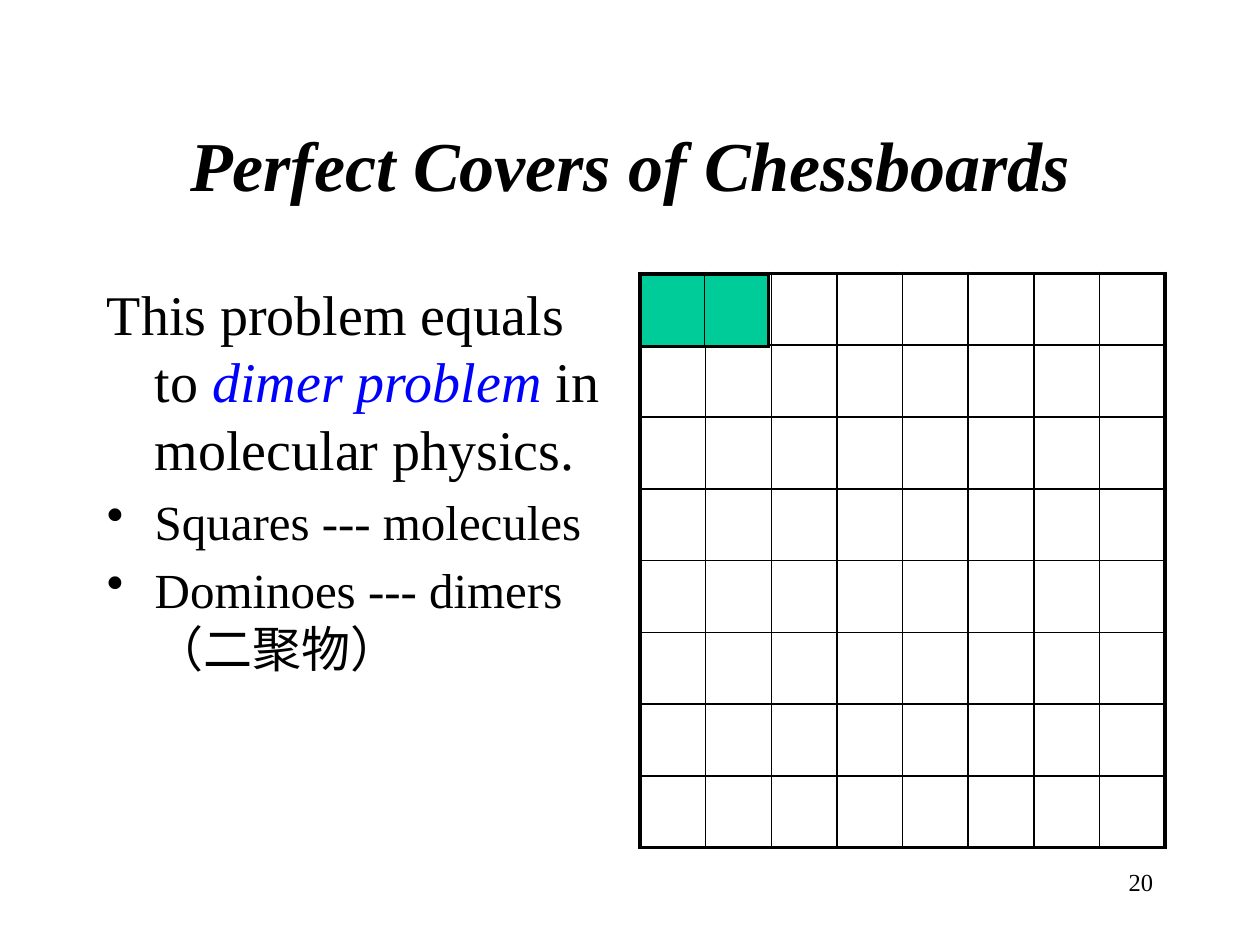
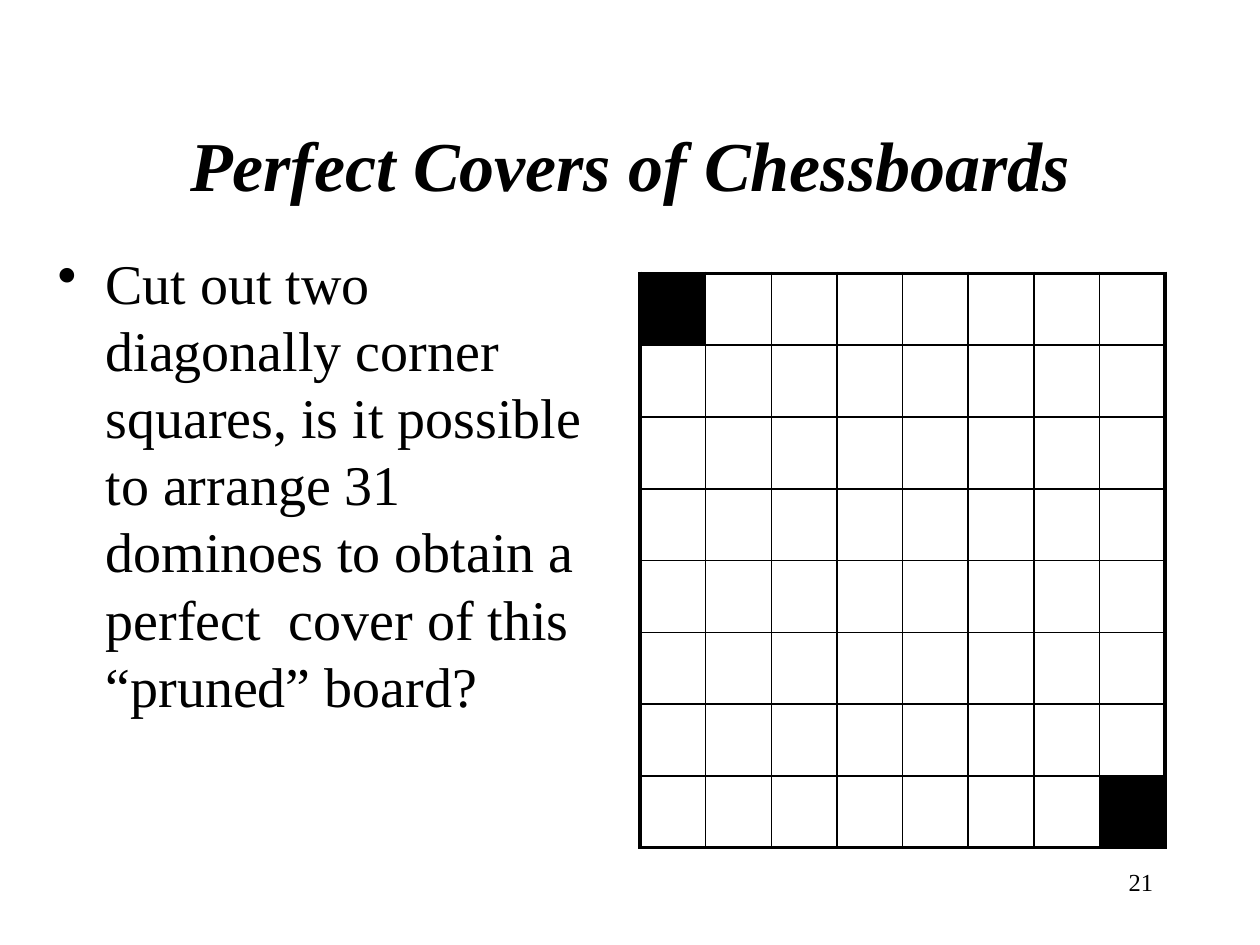
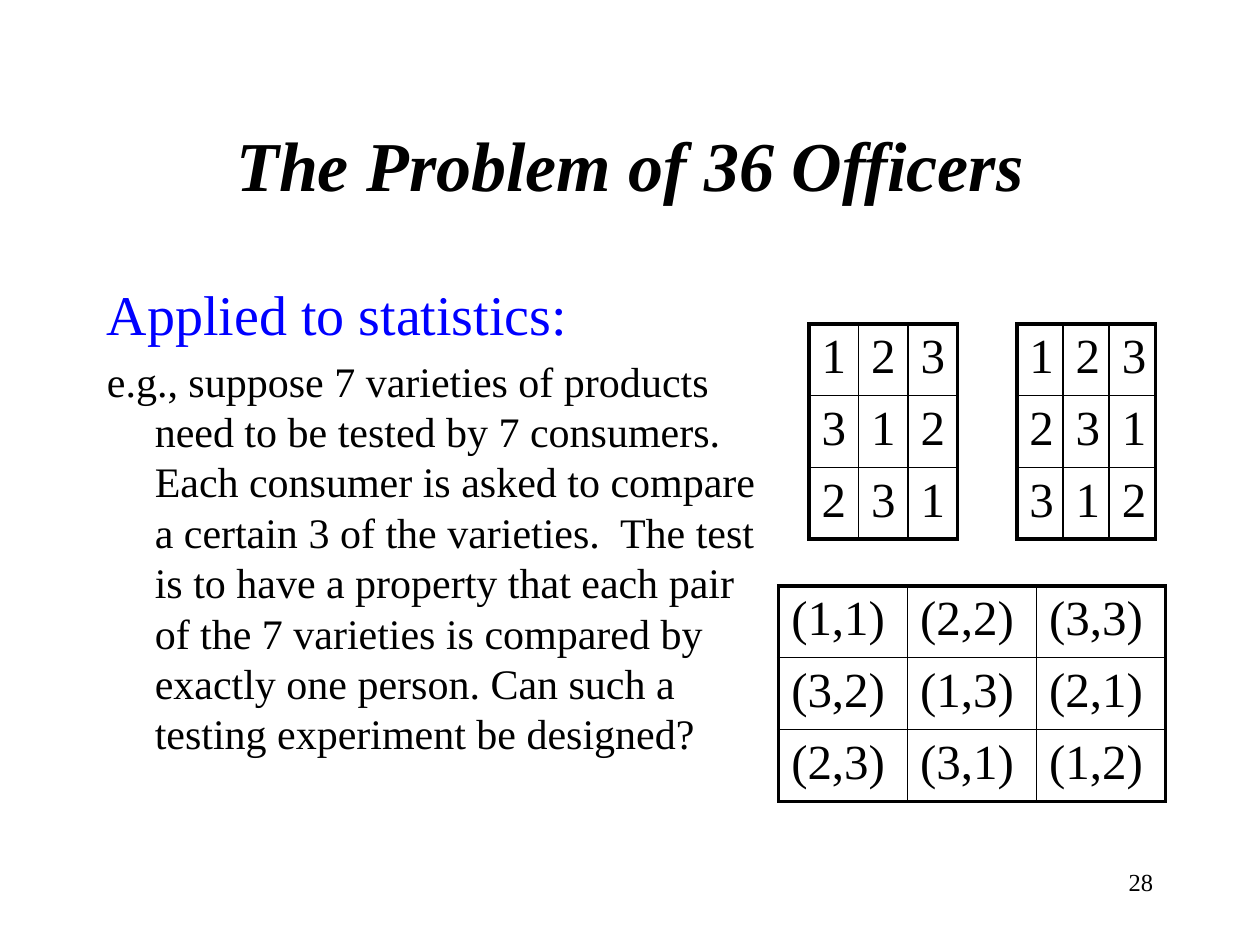
from lxml import etree
from pptx import Presentation
from pptx import util as u
from pptx.dml.color import RGBColor
from pptx.enum import text as t
from pptx.oxml import ns

# Shared look
FONT, INK, BLUE, GREEN = "Times New Roman", "000000", "0000FF", "00CC99"
THICK, THIN = 2.25, 1
HANG = 0.38
ROW = 0.57
LEFT, TOP, RIGHT = 0.75, 2.17, 9.25
BOARD = (5.08, TOP, 4.17)

# Content: a paragraph is (runs, size, bullet), a run is (text, format)
EMPTY = [[""] * 8 for _ in range(8)]
COVERS = "Perfect Covers of Chessboards"
SLIDES = [
    dict(
        title=COVERS, num=20, body=(LEFT, TOP, 4.17, 4.5),
        paras=[
            ([("This problem equals to ", {}),
              ("dimer problem", dict(color=BLUE, italic=True)),
              (" in molecular physics.", {})], 32, False),
            ([("Squares --- molecules", {})], 28, True),
            ([("Dominoes --- dimers （二聚物）", {})], 28, True),
        ],
        grids=[
            (BOARD, EMPTY, {}),
            ((5.08, 2.18, 1.02), [["", ""]], {(0, 0): GREEN, (0, 1): GREEN}),
        ],
    ),
    dict(
        title=COVERS, num=21, body=(0.36, 1.92, 4.48, 4.5),
        paras=[
            ([("Cut out two diagonally corner squares, is it possible to "
               "arrange 31 dominoes to obtain a perfect  cover of this "
               "“pruned” board?", {})], 32, True),
        ],
        grids=[(BOARD, EMPTY, {(0, 0): INK, (7, 7): INK})],
    ),
    dict(
        title="The Problem of 36 Officers", num=28, body=(LEFT, TOP, 5.51, 4.5),
        paras=[
            ([("Applied to statistics:", dict(color=BLUE))], 32, False),
            ([("e.g., suppose 7 varieties of products need to be tested by 7 "
               "consumers. Each consumer is asked to compare a certain 3 of "
               "the varieties.  The test is to have a property that each pair "
               "of the 7 varieties is compared by exactly one person. Can "
               "such a testing experiment be designed?", {})], 24, False),
        ],
        grids=[
            ((6.42, 2.57, 1.18), ["123", "312", "231"], {}),
            ((8.07, 2.57, 1.1), ["123", "231", "312"], {}),
            ((6.18, 4.65, 3.07), [["(1,1)", "(2,2)", "(3,3)"],
                                  ["(3,2)", "(1,3)", "(2,1)"],
                                  ["(2,3)", "(3,1)", "(1,2)"]], {}),
        ],
    ),
]


def rgb(code):
    return RGBColor.from_string(code)


def sub(node, tag, **attrs):
    return etree.SubElement(node, ns.qn("a:" + tag), **attrs)


def write(para, words, size=28, color=INK, bold=False, italic=False):
    run = para.add_run()
    run.text = words
    font = run.font
    font.name, font.size = FONT, u.Pt(size)
    font.bold, font.italic = bold, italic
    font.color.rgb = rgb(color)


def space(para):
    """Space before a paragraph: 20% of its line."""
    props = para._p.get_or_add_pPr()
    sub(sub(props, "spcBef"), "spcPct", val="20000")
    return props


def frame(slide, area, anchor=t.MSO_ANCHOR.TOP):
    box = slide.shapes.add_textbox(*map(u.Inches, area)).text_frame
    box.word_wrap = True
    box.vertical_anchor = anchor
    return box


def label(slide, area, words, align, anchor=t.MSO_ANCHOR.TOP, **form):
    para = frame(slide, area, anchor).paragraphs[0]
    para.alignment = align
    write(para, words, **form)


def fill_body(slide, area, paras):
    box = frame(slide, area)
    for i, (runs, size, bullet) in enumerate(paras):
        para = box.add_paragraph() if i else box.paragraphs[0]
        props = space(para)
        props.set("marL", str(u.Inches(HANG)))
        props.set("indent", str(-u.Inches(HANG)))
        if bullet:
            sub(props, "buChar", char="•")
        for words, form in runs:
            write(para, words, size=size, **form)


def edge(cell, sides):
    """Draw the four borders, given whether each lies on the outside."""
    props = cell._tc.get_or_add_tcPr()
    for i, (side, outer) in enumerate(zip("LRTB", sides)):
        width = u.Pt(THICK if outer else THIN)
        line = sub(props, "ln" + side, w=str(width))
        sub(sub(line, "solidFill"), "srgbClr", val=INK)
        props.insert(i, line)


def grid(slide, area, rows, fills):
    left, top, width = area
    high, wide = len(rows), len(rows[0])
    table = slide.shapes.add_table(
        high, wide, *map(u.Inches, (left, top, width, ROW * high))).table
    table.first_row = table.horz_banding = False
    for col in table.columns:
        col.width = u.Inches(width / wide)
    for r, row in enumerate(rows):
        table.rows[r].height = u.Inches(ROW)
        for c, words in enumerate(row):
            cell = table.cell(r, c)
            if (r, c) in fills:
                cell.fill.solid()
                cell.fill.fore_color.rgb = rgb(fills[r, c])
            else:
                cell.fill.background()
            edge(cell, (c == 0, c == wide - 1, r == 0, r == high - 1))
            if words:
                para = cell.text_frame.paragraphs[0]
                space(para)
                write(para, words)


def main():
    deck = Presentation()
    deck.slide_width, deck.slide_height = u.Inches(10), u.Inches(7.5)
    for item in SLIDES:
        slide = deck.slides.add_slide(deck.slide_layouts[6])
        # Page number and title
        label(slide, (7.17, 6.83, RIGHT - 7.17, 0.5), str(item["num"]),
              t.PP_ALIGN.RIGHT, size=14)
        label(slide, (LEFT, 0.67, RIGHT - LEFT, 1.25), item["title"],
              t.PP_ALIGN.CENTER, t.MSO_ANCHOR.MIDDLE,
              size=40, bold=True, italic=True)
        # Text on the left, grids on the right
        fill_body(slide, item["body"], item["paras"])
        for area, rows, fills in item["grids"]:
            grid(slide, area, rows, fills)
    deck.save("out.pptx")


if __name__ == "__main__":
    main()
